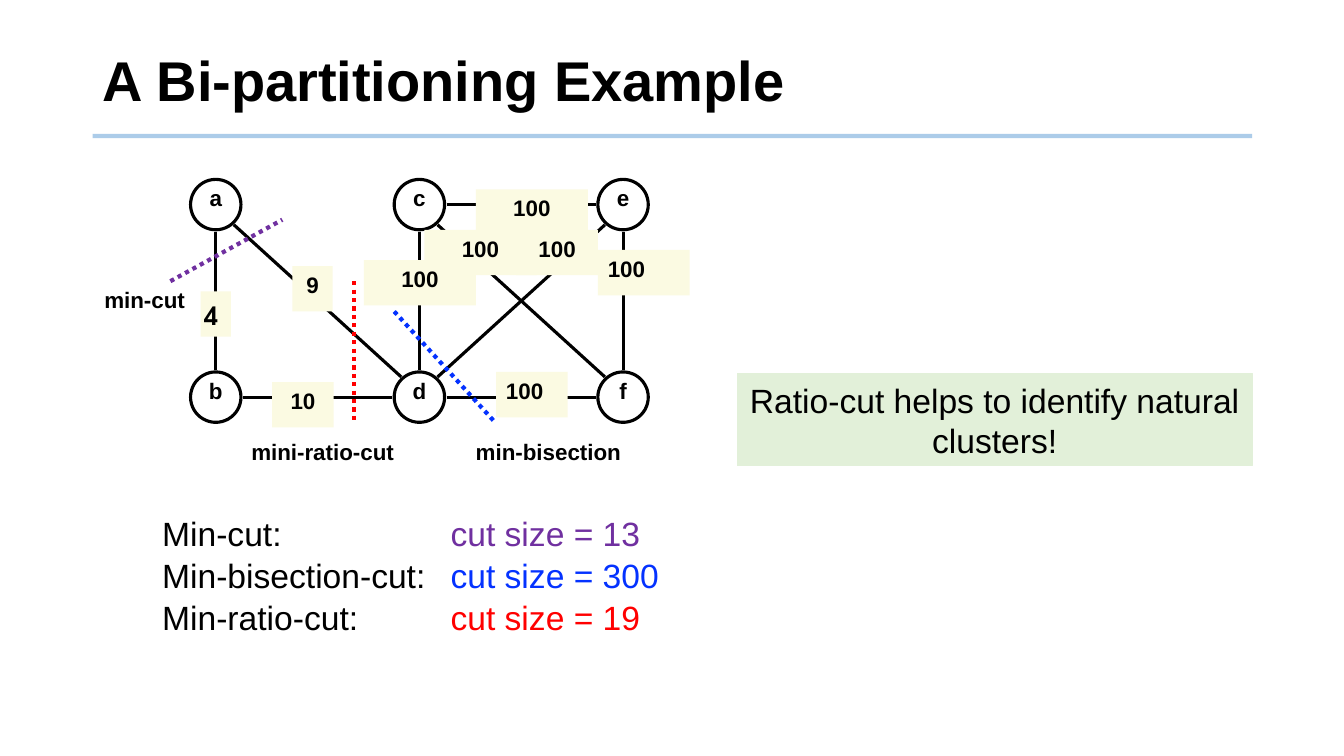
"""Build the bi-partitioning example slide."""
import pptx
import pptx.util
import pptx.dml.color
import pptx.enum.dml
import pptx.enum.shapes
import pptx.enum.text
import pptx.oxml.ns
import lxml.etree

Inches, Pt = pptx.util.Inches, pptx.util.Pt
RGB = pptx.dml.color.RGBColor.from_string
SHAPE = pptx.enum.shapes.MSO_SHAPE
ALIGN = pptx.enum.text.PP_ALIGN
ANCHOR = pptx.enum.text.MSO_ANCHOR
DOTS = pptx.enum.dml.MSO_LINE.ROUND_DOT
qn = pptx.oxml.ns.qn


def add_line(parent, start, end, color="000000", width=2.25, dash=None):
    c = parent.add_connector(pptx.enum.shapes.MSO_CONNECTOR.STRAIGHT,
                             *[Inches(v) for v in (*start, *end)])
    c.line.color.rgb = RGB(color)
    c.line.width = Pt(width)
    if dash:
        c.line.dash_style = dash
    lxml.etree.SubElement(c._element.spPr, qn("a:effectLst"))
    return c


def add_text(parent, box, lines, size=16, bold=True, color="000000",
             fill=None, align=ALIGN.CENTER, font="Arial"):
    box = [Inches(v) for v in box]
    if fill:
        sp = parent.add_shape(SHAPE.RECTANGLE, *box)
        sp.shadow.inherit = False
        sp.fill.solid()
        sp.fill.fore_color.rgb = RGB(fill)
        sp.line.fill.background()
    else:
        sp = parent.add_textbox(*box)
    tf = sp.text_frame
    tf.word_wrap = True
    tf.vertical_anchor = ANCHOR.TOP
    for i, line in enumerate(lines):
        p = tf.add_paragraph() if i else tf.paragraphs[0]
        p.alignment = align
        r = p.add_run()
        r.text = line
        r.font.name, r.font.size, r.font.bold = font, Pt(size), bold
        r.font.color.rgb = RGB(color)
    return sp


prs = pptx.Presentation()
prs.slide_width, prs.slide_height = Inches(13.33), Inches(7.5)
s = prs.slides.add_slide(prs.slide_layouts[5])

rule = add_line(s.shapes, (0.92, 1.35), (12.42, 1.35), "5B9BD5", 3)
clr = rule.line._ln.find(".//" + qn("a:srgbClr"))
lxml.etree.SubElement(clr, qn("a:alpha")).set("val", "50000")

title = s.shapes.title
title.left, title.top = Inches(0.92), Inches(0.28)
title.width, title.height = Inches(11.5), Inches(1.1)
title.text_frame.vertical_anchor = ANCHOR.MIDDLE
p = title.text_frame.paragraphs[0]
p.alignment = ALIGN.LEFT
p.line_spacing = 0.9
r = p.add_run()
r.text = "A Bi-partitioning Example"
r.font.name, r.font.size, r.font.bold = "Arial", Pt(40), True
r.font.color.rgb = RGB("000000")

# graph
nodes = {name: (2.14 + 2.02 * (i // 2), 2.03 + 1.91 * (i % 2))
         for i, name in enumerate("abcdef")}
graph = s.shapes.add_group_shape().shapes
for x, y in nodes.values():
    sp = graph.add_shape(SHAPE.OVAL, Inches(x - 0.25), Inches(y - 0.25),
                         Inches(0.5), Inches(0.5))
    sp.shadow.inherit = False
    sp.fill.background()
    sp.line.color.rgb = RGB("000000")
    sp.line.width = Pt(2.25)

for tail, head in ("ab", "bd", "cd", "ce", "ef", "df", "ad", "de", "cf"):
    (x1, y1), (x2, y2) = nodes[tail], nodes[head]
    dx, dy = (0.18, 0.2) if x1 != x2 and y1 != y2 else (0.27, 0.27)
    dx *= (x2 > x1) - (x2 < x1)
    dy *= (y2 > y1) - (y2 < y1)
    add_line(graph, (x1 + dx, y1 + dy), (x2 - dx, y2 - dy))

for name, (x, y) in nodes.items():
    add_text(s.shapes, (x - 0.25, y - 0.25, 0.5, 0.45), [name])

cuts = [
    ("mini-ratio-cut", (2.19, 4.3, 2.02, 0.45), (3.51, 2.79), (3.51, 4.2), "FF0000", ALIGN.CENTER),
    ("min-bisection", (4.62, 4.3, 2.22, 0.45), (3.91, 3.09), (4.92, 4.2), "0432FF", ALIGN.LEFT),
    ("min-cut", (0.78, 2.79, 1.31, 0.45), (1.69, 2.79), (2.8, 2.18), "7030A0", ALIGN.CENTER),
]
for name, box, start, end, color, align in cuts:
    cut = s.shapes.add_group_shape().shapes
    add_line(cut, start, end, color, 3, DOTS)
    add_text(cut, box, [name], align=align)

weights = [
    ("", 1.99, 2.89, 0.3, ALIGN.CENTER),
    ("9", 2.9, 2.64, 0.4, ALIGN.CENTER),
    ("10", 2.7, 3.79, 0.61, ALIGN.CENTER),
    ("100", 4.72, 1.88, 1.11, ALIGN.CENTER),
    ("100", 4.21, 2.28, 1.11, ALIGN.CENTER),
    ("100", 5.12, 2.28, 0.81, ALIGN.CENTER),
    ("100", 5.93, 2.48, 0.91, ALIGN.LEFT),
    ("100", 3.61, 2.58, 1.11, ALIGN.CENTER),
    ("100", 4.92, 3.69, 0.71, ALIGN.LEFT),
]
for weight, x, y, width, align in weights:
    add_text(s.shapes, (x, y, width, 0.45), [weight] if weight else [],
             fill="FBFAE2", align=align)
sp = add_text(s.shapes, (1.89, 2.93, 0.41, 0.49), ["4"], 18, font="TeX Gyre Adventor")
sp.text_frame.word_wrap = False

note = add_text(s.shapes, (7.31, 3.71, 5.11, 0.91),
                ["Ratio-cut helps to identify natural clusters!"], 24, False, fill="E2F0D9")
note.text_frame.vertical_anchor = ANCHOR.MIDDLE
note.line.color.rgb = RGB("E2F0D9")
note.line.width = Pt(0.75)

# results
names = add_text(s.shapes, (1.51, 5.18, 4.53, 1.25),
                 ["Min-cut:", "Min-bisection-cut:", "Min-ratio-cut:"],
                 24, False, align=ALIGN.LEFT)
sizes = add_text(s.shapes, (4.37, 5.18, 3.05, 1.25),
                 ["cut size = 13", "cut size = 300", "cut size = 19"],
                 24, False, align=ALIGN.LEFT)
for p, color in zip(sizes.text_frame.paragraphs, ("7030A0", "0432FF", "FF0000")):
    p.runs[0].font.color.rgb = RGB(color)
for sp in (names, sizes):
    for i, p in enumerate(sp.text_frame.paragraphs):
        p.line_spacing = 0.6
        p.space_before = Pt(12.7 if i else 0)

prs.save("out.pptx")
